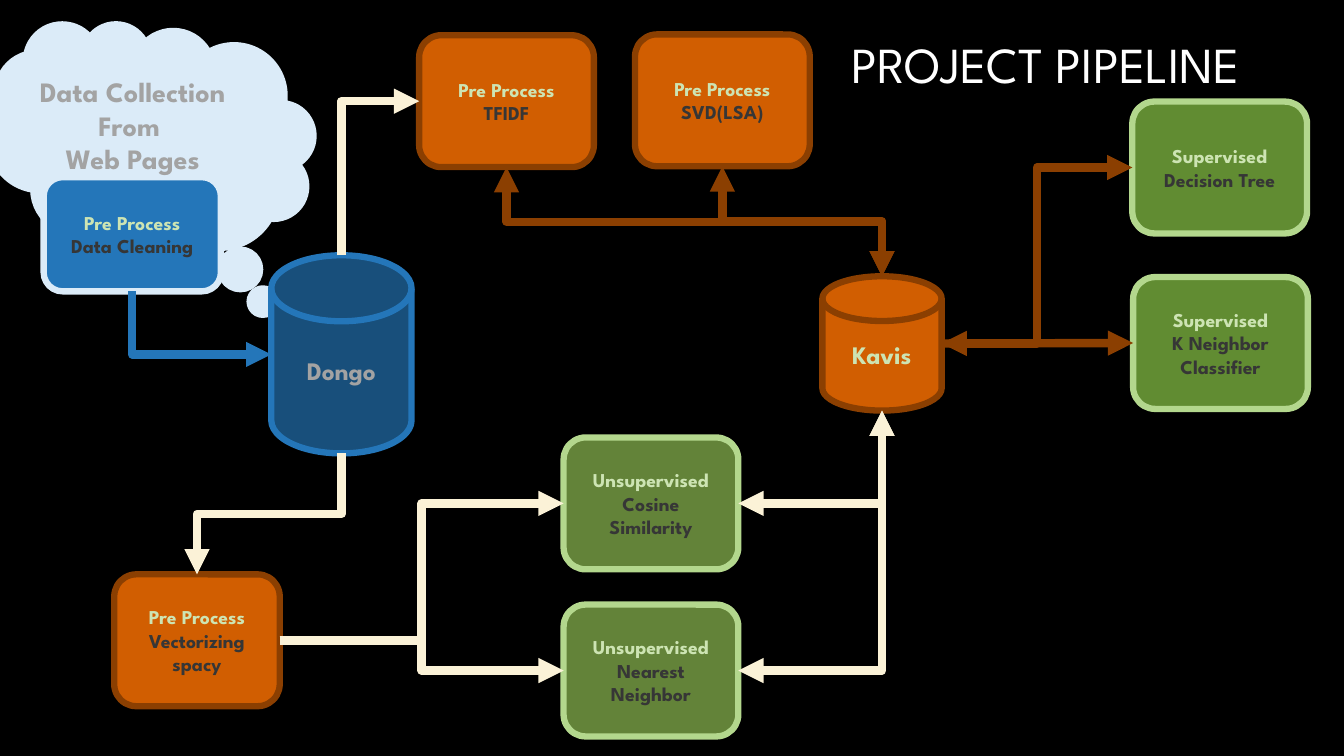
from lxml import etree
from pptx import Presentation, util as u
from pptx.dml.color import RGBColor
from pptx.enum import shapes, text
from pptx.oxml.ns import qn

FONT = "League Spartan"
BLACK = RGBColor(0x00, 0x00, 0x00)
WHITE = RGBColor(0xFF, 0xFF, 0xFF)
GREY = RGBColor(0xA3, 0xA3, 0xA3)
DARK = RGBColor(0x36, 0x36, 0x36)
PALE_BLUE = RGBColor(0xDB, 0xEB, 0xF8)
BLUE = RGBColor(0x24, 0x76, 0xB9)
NAVY = RGBColor(0x18, 0x4F, 0x7B)
ORANGE = RGBColor(0xD1, 0x5E, 0x01)
BROWN = RGBColor(0x8B, 0x3F, 0x01)
OLIVE = RGBColor(0x63, 0x83, 0x39)
GREEN = RGBColor(0x61, 0x8C, 0x32)
LIME = RGBColor(0xB3, 0xD7, 0x8D)
MINT = RGBColor(0xCD, 0xE4, 0xB3)
CREAM = RGBColor(0xFB, 0xF2, 0xD7)

TOP, LEFT, BOTTOM, RIGHT = range(4)
STRAIGHT, ONE_BEND, TWO_BENDS = range(3)

prs = Presentation()
prs.slide_width, prs.slide_height = u.Inches(13.33), u.Inches(7.5)
GRID = prs.slide_width / 160  # the slide is 160 columns by 90 rows
s = prs.slides.add_slide(prs.slide_layouts[6])
s.background.fill.solid()
s.background.fill.fore_color.rgb = BLACK


def fill_text(tf, lines, size, colors, bold=True, align=text.PP_ALIGN.CENTER):
    """Write the lines, the first in the first colour and the rest in the last."""
    tf.word_wrap = True
    tf.text = "\n".join(lines)
    for i, p in enumerate(tf.paragraphs):
        p.alignment = align
        f = p.runs[0].font
        f.name, f.size, f.bold = FONT, u.Pt(size), bold
        f.color.rgb = colors[0] if i == 0 else colors[-1]


def link(start, start_side, end, end_side, bends, color, heads):
    """Draw an arrow between two sides; a start at top or bottom leaves vertically."""
    ends = []
    for sp, side in ((start, start_side), (end, end_side)):
        dx, dy = ((1, 0), (0, 1), (1, 2), (2, 1))[side]
        ends += [sp.left + sp.width * dx // 2, sp.top + sp.height * dy // 2]
    kind = shapes.MSO_CONNECTOR.ELBOW if bends else shapes.MSO_CONNECTOR.STRAIGHT
    cxn = s.shapes.add_connector(kind, *ends)
    pr = cxn._element.spPr
    if bends == STRAIGHT:
        cxn.end_connect(end, end_side)
    elif start_side in (TOP, BOTTOM):
        x1, y1, x2, y2 = ends
        w, h = abs(y2 - y1), abs(x2 - x1)
        cxn.left, cxn.top = (x1 + x2 - w) // 2, (y1 + y2 - h) // 2
        cxn.width, cxn.height = w, h
        xfrm = pr.find(qn("a:xfrm"))
        xfrm.set("rot", str(90 * 60000))
        xfrm.set("flipH", str(int(y2 < y1)))
        xfrm.set("flipV", str(int(x2 > x1)))
    if bends == ONE_BEND:
        pr.find(qn("a:prstGeom")).set("prst", "bentConnector2")
    cxn.line.width = u.Pt(6)
    cxn.line.color.rgb = color
    for head in heads:
        etree.SubElement(pr.find(qn("a:ln")), qn(f"a:{head}End"), type="triangle")
    etree.SubElement(pr, qn("a:effectLst"))


CLOUD = shapes.MSO_SHAPE.CLOUD_CALLOUT
BOX = shapes.MSO_SHAPE.ROUNDED_RECTANGLE
DISK = shapes.MSO_SHAPE.FLOWCHART_MAGNETIC_DISK
W, H = 20.8, 15.7  # usual box, in grid columns and rows
nodes = {}
for name, kind, x, y, w, h, fill, line, lines, size, colors in (
    ("cloud", CLOUD, -1.2, 2.8, 38.5, 28.3, PALE_BLUE, PALE_BLUE, [], 0, []),
    ("neighbor", BOX, 67.1, 72, W, H, OLIVE, LIME,
     ["Unsupervised", "Nearest Neighbor"], 14, [MINT, DARK]),
    ("cosine", BOX, 67.1, 52.1, W, H, OLIVE, LIME,
     ["Unsupervised", "Cosine Similarity"], 14, [MINT, DARK]),
    ("svd", BOX, 75.6, 4.1, W, H, ORANGE, BROWN,
     ["Pre Process", "SVD(LSA)"], 14, [MINT, DARK]),
    ("cleaning", BOX, 5.2, 21.1, 21.1, 13.6, BLUE, PALE_BLUE,
     ["Pre Process", "Data Cleaning"], 14, [MINT, DARK]),
    ("tfidf", BOX, 49.9, 4.2, W, H, ORANGE, BROWN,
     ["Pre Process", "TFIDF"], 14, [MINT, DARK]),
    ("store", DISK, 32.3, 30.4, 16.7, 23.6, NAVY, BLUE, ["Dongo"], 18, [GREY]),
    ("cache", DISK, 97.9, 32.9, 14.2, 16, ORANGE, BROWN, ["Kavis"], 18, [MINT]),
    ("vectors", BOX, 13.6, 68.4, 19.7, H, ORANGE, BROWN,
     ["Pre Process", "Vectorizing", "spacy"], 14, [MINT, DARK]),
    ("tree", BOX, 134.8, 12.1, W, H, GREEN, LIME,
     ["Supervised", "Decision Tree"], 14, [MINT, DARK]),
    ("knn", BOX, 134.9, 33, W, H, GREEN, LIME,
     ["Supervised", "K Neighbor Classifier"], 14, [MINT, DARK]),
):
    sp = s.shapes.add_shape(kind, *(round(v * GRID) for v in (x, y, w, h)))
    sp.shadow.inherit = False
    sp.fill.solid()
    sp.fill.fore_color.rgb = fill
    sp.line.color.rgb = line
    sp.line.width = u.Pt(4.5)
    if lines:
        sp.text_frame.vertical_anchor = text.MSO_ANCHOR.MIDDLE
        fill_text(sp.text_frame, lines, size, colors)
    nodes[name] = sp

cloud = nodes["cloud"]
cloud.adjustments[0], cloud.adjustments[1] = -0.39, 0.76
cloud._element.spPr.find(qn("a:xfrm")).set("flipH", "1")

title = s.shapes.add_textbox(*(round(v * GRID) for v in (100.2, 1.1, 58.9, 13.8)))
title.text_frame.vertical_anchor = text.MSO_ANCHOR.MIDDLE
fill_text(title.text_frame, ["PROJECT PIPELINE"], 36, [WHITE], False, text.PP_ALIGN.LEFT)
title.text_frame.paragraphs[0].line_spacing = 0.9

caption = s.shapes.add_textbox(*(round(v * GRID) for v in (1.9, 8.3, 27.8, 13.3)))
fill_text(caption.text_frame, ["Data Collection", "From ", "Web Pages"], 20, [GREY])

ONE_WAY, BOTH_WAYS = ["tail"], ["head", "tail"]
for start, start_side, end, end_side, bends, color, heads in (
    ("cleaning", BOTTOM, "store", LEFT, ONE_BEND, BLUE, ONE_WAY),
    ("tfidf", BOTTOM, "cache", TOP, TWO_BENDS, BROWN, BOTH_WAYS),
    ("cache", TOP, "svd", BOTTOM, TWO_BENDS, BROWN, BOTH_WAYS),
    ("vectors", RIGHT, "neighbor", LEFT, TWO_BENDS, CREAM, ONE_WAY),
    ("cache", BOTTOM, "cosine", RIGHT, ONE_BEND, CREAM, BOTH_WAYS),
    ("store", TOP, "tfidf", LEFT, ONE_BEND, CREAM, ONE_WAY),
    ("store", BOTTOM, "vectors", TOP, TWO_BENDS, CREAM, ONE_WAY),
    ("vectors", RIGHT, "cosine", LEFT, TWO_BENDS, CREAM, ONE_WAY),
    ("cache", RIGHT, "tree", LEFT, TWO_BENDS, BROWN, BOTH_WAYS),
    ("cache", RIGHT, "knn", LEFT, STRAIGHT, BROWN, ONE_WAY),
    ("cache", BOTTOM, "neighbor", RIGHT, ONE_BEND, CREAM, BOTH_WAYS),
):
    link(nodes[start], start_side, nodes[end], end_side, bends, color, heads)

prs.save("out.pptx")
